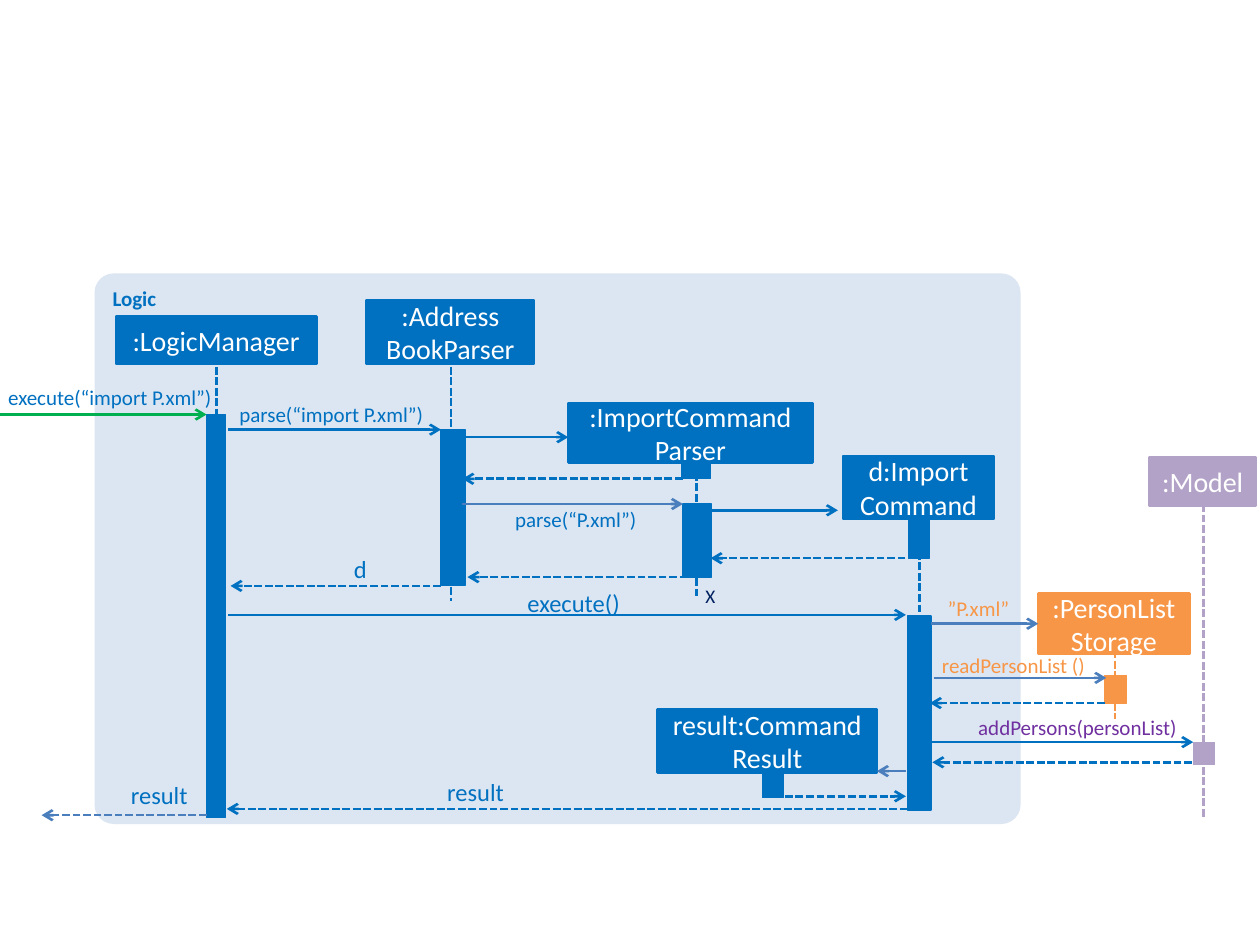
from typing import NamedTuple

import pptx
import pptx.dml.color
import pptx.enum.dml
import pptx.enum.shapes
import pptx.enum.text
import pptx.oxml.ns
import pptx.util
from lxml import etree

RGBColor = pptx.dml.color.RGBColor
Shape = pptx.enum.shapes.MSO_SHAPE
Align = pptx.enum.text.PP_ALIGN
Anchor = pptx.enum.text.MSO_ANCHOR

BLUE = RGBColor(0x00, 0x70, 0xC0)
STEEL = RGBColor(0x4B, 0x7E, 0xBC)
PALE = RGBColor(0xDC, 0xE6, 0xF2)
GREEN = RGBColor(0x00, 0xB0, 0x50)
ORANGE = RGBColor(0xF7, 0x96, 0x46)
LILAC = RGBColor(0xB3, 0xA2, 0xC7)
PURPLE = RGBColor(0x70, 0x30, 0xA0)
NAVY = RGBColor(0x00, 0x20, 0x60)
WHITE = RGBColor(0xFF, 0xFF, 0xFF)

PX = 9144  # EMU in one px, 100 px to the inch
FONT = "Calibri"


class Block(NamedTuple):
    """A participant head or an activation bar."""
    left: int
    top: int
    width: int
    height: int
    color: RGBColor = BLUE
    text: str = ""


class Lifeline(NamedTuple):
    x: int
    top: int
    bottom: int
    color: RGBColor = BLUE


class Message(NamedTuple):
    """An arrow from sender to receiver; replies are dashed."""
    start: int
    end: int
    y: int
    color: RGBColor = BLUE
    reply: bool = False


class Label(NamedTuple):
    left: int
    top: int
    width: int
    text: str
    size: int = 12
    color: RGBColor = BLUE


HEADS = [
    Block(92, 251, 159, 38, text=":LogicManager"),
    Block(291, 238, 133, 51, text=":Address\nBookParser"),
    Block(451, 320, 194, 47, text=":ImportCommand\nParser"),
    Block(669, 362, 120, 50, text="d:Import\nCommand"),
    Block(522, 563, 174, 50, text="result:Command Result"),
    Block(824, 471, 120, 48, ORANGE, ":PersonList\nStorage"),
    Block(912, 363, 85, 38, LILAC, ":Model"),
]
LIFELINES = [
    Lifeline(172, 291, 575),
    Lifeline(358, 291, 477),
    Lifeline(553, 367, 475),
    Lifeline(730, 413, 642),
    Lifeline(885, 516, 571, ORANGE),
    Lifeline(955, 400, 649, LILAC),
]
BARS = [
    Block(164, 329, 15, 320),
    Block(350, 341, 19, 124),
    Block(541, 367, 23, 13),
    Block(542, 400, 23, 58),
    Block(721, 413, 17, 30),
    Block(720, 489, 19, 154),
    Block(605, 614, 17, 19),
    Block(877, 536, 17, 22, ORANGE),
    Block(947, 589, 17, 18, LILAC),
]
MESSAGES = [
    Message(0, 164, 329, GREEN),
    Message(181, 350, 341),
    Message(362, 451, 347),
    Message(542, 367, 380, reply=True),
    Message(367, 542, 400, STEEL),
    Message(564, 665, 405),
    Message(727, 564, 443, reply=True),
    Message(554, 371, 458, reply=True),
    Message(350, 183, 465, reply=True),
    Message(181, 719, 488),
    Message(739, 824, 495, STEEL),
    Message(741, 878, 538, STEEL),
    Message(877, 738, 558, reply=True),
    Message(740, 947, 589),
    Message(946, 740, 605, reply=True),
    Message(719, 696, 612, STEEL),
    Message(623, 719, 632, reply=True),
    Message(737, 180, 642, reply=True),
    Message(164, 33, 647, STEEL, True),
]
LABELS = [
    Label(-54, 305, 222, "execute(“import P.xml”)"),
    Label(180, 319, 156, "parse(“import P.xml”)"),
    Label(394, 402, 111, "parse(“P.xml”)"),
    Label(267, 440, 24, "d", 14),
    Label(398, 467, 94, "execute()", 14),
    Label(733, 473, 68, "”P.xml”", color=ORANGE),
    Label(745, 518, 116, "readPersonList ()", color=ORANGE),
    Label(745, 567, 189, "addPersons(personList)", color=PURPLE),
    Label(332, 617, 68, "result", 14),
    Label(66, 619, 83, "result", 14),
]


def apply(target, values: dict) -> None:
    for name, value in values.items():
        setattr(target, name, value)


def write(frame, text: str, size: int, color: RGBColor, align, bold: bool = False) -> None:
    frame.text = text
    for para in frame.paragraphs:
        para.alignment = align
        for span in para.runs:
            apply(span.font, {"name": FONT, "size": pptx.util.Pt(size), "bold": bold})
            span.font.color.rgb = color


def draw_block(page, block: Block, line_width: float, kind=Shape.RECTANGLE):
    box = page.shapes.add_shape(kind, *(PX * side for side in block[:4]))
    box.shadow.inherit = False
    box.fill.solid()
    box.fill.fore_color.rgb = block.color
    if line_width:
        box.line.color.rgb = block.color
        box.line.width = pptx.util.Pt(line_width)
    else:
        box.line.fill.background()
    return box


def draw_head(page, head: Block) -> None:
    frame = draw_block(page, head, 1.5).text_frame
    apply(frame, {"word_wrap": True, "vertical_anchor": Anchor.MIDDLE})
    write(frame, head.text, 16, WHITE, Align.CENTER)


def draw_line(page, x1: int, y1: int, x2: int, y2: int, color: RGBColor,
              dashed: bool, arrow: bool) -> None:
    line = page.shapes.add_connector(
        pptx.enum.shapes.MSO_CONNECTOR.STRAIGHT, *(PX * value for value in (x1, y1, x2, y2)))
    line.line.color.rgb = color
    line.line.width = pptx.util.Pt(1.5)
    if dashed:
        line.line.dash_style = pptx.enum.dml.MSO_LINE.SQUARE_DOT
    if arrow:
        etree.SubElement(line.line._get_or_add_ln(), pptx.oxml.ns.qn("a:tailEnd"), type="arrow")
    etree.SubElement(line._element.spPr, pptx.oxml.ns.qn("a:effectLst"))


def draw_label(page, label: Label) -> None:
    height = 24 if label.size == 14 else 20
    box = page.shapes.add_textbox(
        *(PX * side for side in (label.left, label.top, label.width, height)))
    margins = dict.fromkeys(("margin_left", "margin_top", "margin_right", "margin_bottom"), 0)
    apply(box.text_frame, {**margins, "word_wrap": True,
                           "auto_size": pptx.enum.text.MSO_AUTO_SIZE.SHAPE_TO_FIT_TEXT})
    write(box.text_frame, label.text, label.size, label.color, Align.RIGHT)


def main() -> None:
    deck = pptx.Presentation()
    apply(deck, {"slide_width": 1000 * PX, "slide_height": 750 * PX})
    page = deck.slides.add_slide(deck.slide_layouts[6])

    # Logic component panel
    panel = draw_block(page, Block(75, 217, 735, 437, PALE), 0, Shape.ROUNDED_RECTANGLE)
    panel.adjustments[0] = 0.035
    panel.text_frame.vertical_anchor = Anchor.TOP
    write(panel.text_frame, "Logic", 12, BLUE, Align.LEFT, bold=True)

    # Participants, lifelines and activations
    for head in HEADS:
        draw_head(page, head)
    for life in LIFELINES:
        draw_line(page, life.x, life.top, life.x, life.bottom, life.color, True, False)
    for bar in BARS:
        draw_block(page, bar, 0.75)

    # Messages and their labels
    for message in MESSAGES:
        draw_line(page, message.start, message.y, message.end, message.y,
                  message.color, message.reply, True)
    for label in LABELS:
        draw_label(page, label)

    # End of the parser's life
    cross = page.shapes.add_textbox(550 * PX, 459 * PX, 28 * PX, 29 * PX)
    cross.text_frame.word_wrap = False
    write(cross.text_frame, "X", 11, NAVY, Align.LEFT)

    deck.save("out.pptx")


if __name__ == "__main__":
    main()
